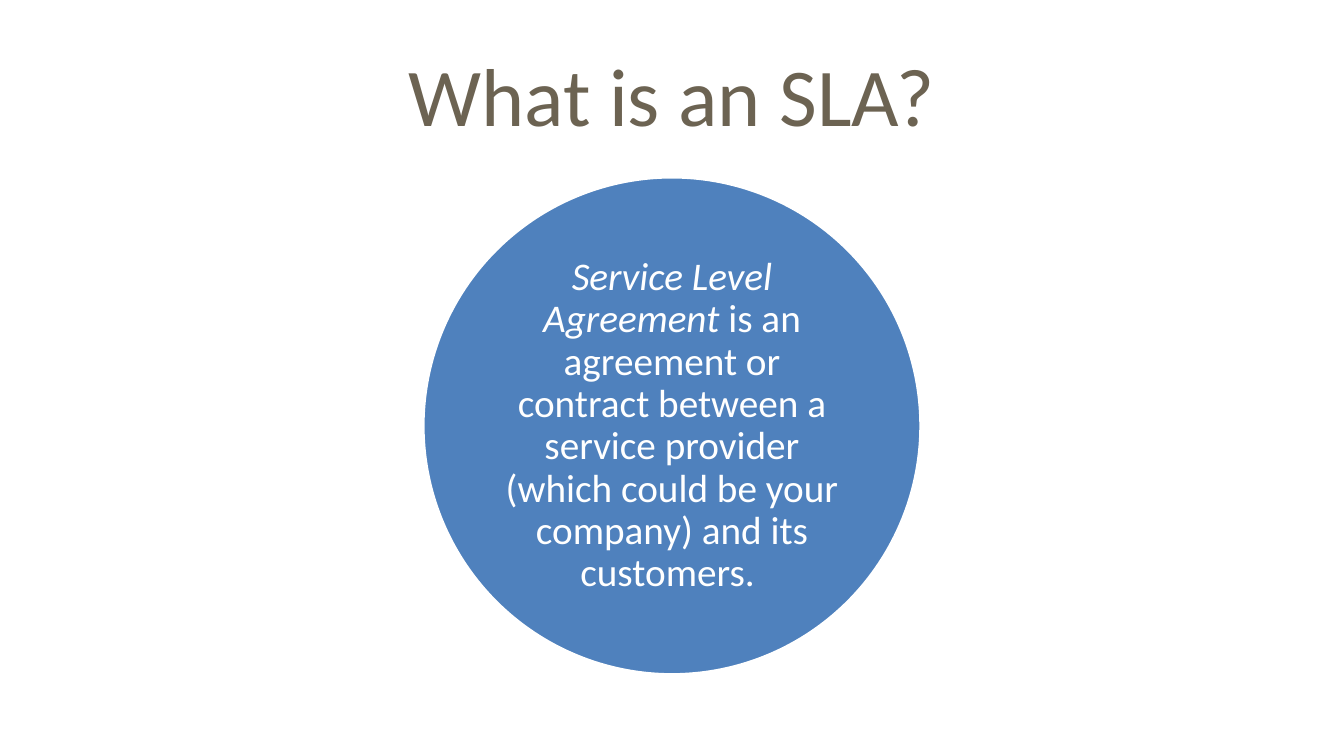
import math
from dataclasses import dataclass

import pptx
import pptx.dml.color
import pptx.enum.shapes
import pptx.enum.text
import pptx.util

Cm = pptx.util.Cm
Pt = pptx.util.Pt
RGB = pptx.dml.color.RGBColor


@dataclass(frozen=True)
class Theme:
    font: str = "Calibri"
    title_color: RGB = RGB(0x6C, 0x63, 0x52)
    circle_color: RGB = RGB(0x4F, 0x81, 0xBD)
    white: RGB = RGB(0xFF, 0xFF, 0xFF)
    title_size: int = 44
    body_size: int = 21
    outline: int = 2


THEME = Theme()


def add_text(slide, box, runs, *, size, color, inset=0.25, line_spacing=1.0):
    label = slide.shapes.add_textbox(*(Cm(length) for length in box))
    frame = label.text_frame
    frame.word_wrap = True
    frame.vertical_anchor = pptx.enum.text.MSO_ANCHOR.MIDDLE
    frame.margin_left = frame.margin_right = Cm(inset)
    frame.margin_top = frame.margin_bottom = Cm(min(inset, 0.13))
    paragraph = frame.paragraphs[0]
    paragraph.alignment = pptx.enum.text.PP_ALIGN.CENTER
    paragraph.line_spacing = line_spacing
    for text, italic in runs:
        run = paragraph.add_run()
        run.text = text
        run.font.name = THEME.font
        run.font.size = Pt(size)
        run.font.italic = italic
        run.font.color.rgb = color


def add_title(slide, box):
    add_text(slide, box, [("What is an SLA?", False)],
             size=THEME.title_size, color=THEME.title_color)


def add_definition(slide, box):
    left, top, diameter, _ = box
    circle = slide.shapes.add_shape(
        pptx.enum.shapes.MSO_SHAPE.OVAL, *(Cm(length) for length in box))
    circle.shadow.inherit = False
    circle.fill.solid()
    circle.fill.fore_color.rgb = THEME.circle_color
    circle.line.color.rgb = THEME.white
    circle.line.width = Pt(THEME.outline)

    side = diameter / math.sqrt(2)
    margin = (diameter - side) / 2
    definition = [
        ("Service Level Agreement ", True),
        ("is an agreement or contract between a service provider "
         "(which could be your company) and its customers. ", False),
    ]
    add_text(slide, (left + margin, top + margin, side, side), definition,
             size=THEME.body_size, color=THEME.white,
             inset=0.07, line_spacing=0.9)


def main():
    width, height = 25.4, 14.29
    presentation = pptx.Presentation()
    presentation.slide_width = Cm(width)
    presentation.slide_height = Cm(height)
    slide = presentation.slides.add_slide(presentation.slide_layouts[6])
    slide.background.fill.solid()
    slide.background.fill.fore_color.rgb = THEME.white

    title_margin = 1.27
    add_title(slide, (title_margin, 0.58, width - 2 * title_margin, 2.39))
    diameter = 9.42
    add_definition(slide, ((width - diameter) / 2, 3.34, diameter, diameter))
    presentation.save("out.pptx")


if __name__ == "__main__":
    main()
